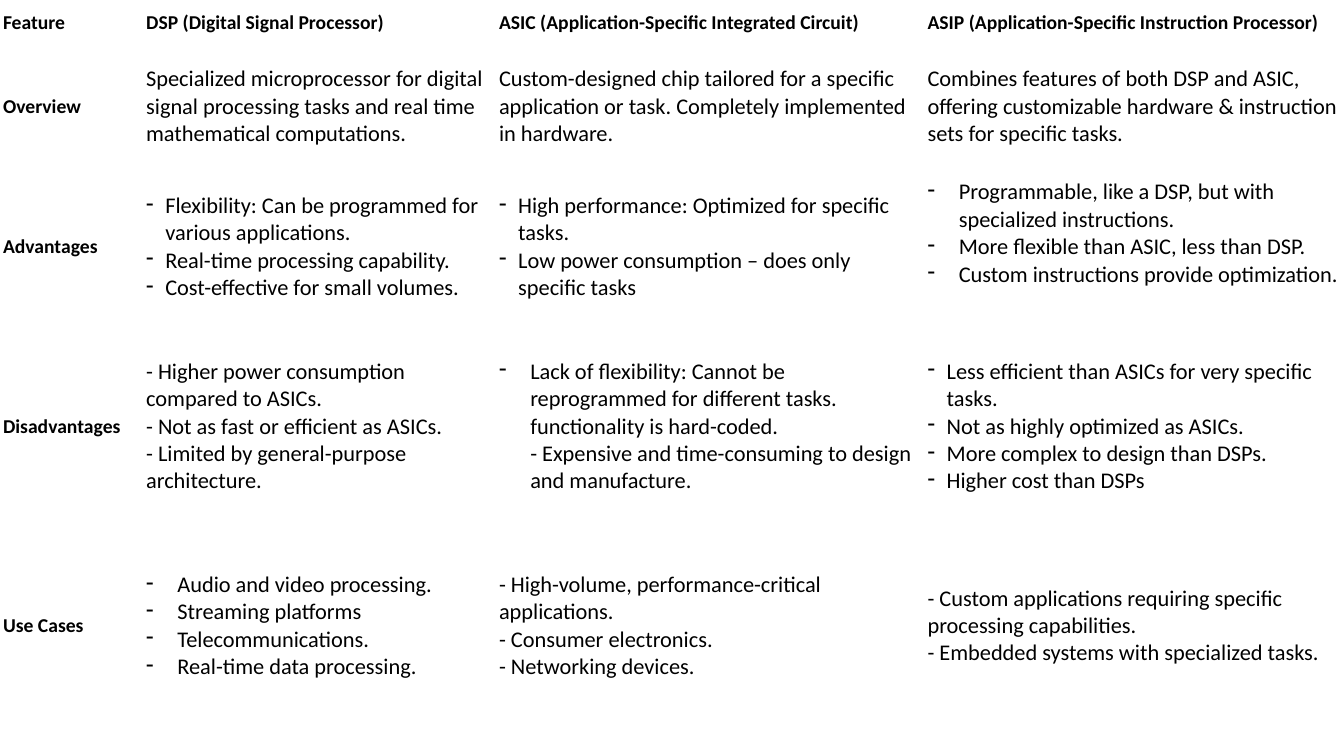
from lxml import etree
from pptx import Presentation, util as u
from pptx.dml.color import RGBColor
from pptx.enum import text
from pptx.oxml.ns import qn

PX = 9144  # EMU per px, 100 px to the inch
BLACK = RGBColor(0, 0, 0)
FONT = "Calibri"
COLUMNS = [142, 350, 425, 415]
ROWS = [45, 121, 158, 198, 198]
NARROW, WIDE = 19, 31  # hanging indents of dash lists
RAISED_CELL, RAISED_MARGIN = (2, 3), 29

# Each cell: hanging indent of its dashes (0 for none), then its paragraphs
CONTENT = [
    [(0, "Feature"),
     (0, "DSP (Digital Signal Processor)"),
     (0, "ASIC (Application-Specific Integrated Circuit)"),
     (0, "ASIP (Application-Specific Instruction Processor)")],
    [(0, "Overview"),
     (0, "Specialized microprocessor for digital signal processing tasks "
         "and real time mathematical computations."),
     (0, "Custom-designed chip tailored for a specific application or task. "
         "Completely implemented in hardware."),
     (0, "Combines features of both DSP and ASIC, offering customizable "
         "hardware & instruction sets for specific tasks.")],
    [(0, "Advantages"),
     (NARROW, "Flexibility: Can be programmed for various applications.",
      "Real-time processing capability.",
      "Cost-effective for small volumes."),
     (NARROW, "High performance: Optimized for specific tasks.",
      "Low power consumption – does only specific tasks"),
     (WIDE, "Programmable, like a DSP, but with specialized instructions.",
      "More flexible than ASIC, less than DSP.",
      "Custom instructions provide optimization.")],
    [(0, "Disadvantages"),
     (0, "- Higher power consumption compared to ASICs.\n"
         "- Not as fast or efficient as ASICs.\n"
         "- Limited by general-purpose architecture."),
     (WIDE, "Lack of flexibility: Cannot be reprogrammed for different tasks. "
            "functionality is hard-coded.\n"
            "- Expensive and time-consuming to design and manufacture."),
     (NARROW, "Less efficient than ASICs for very specific tasks.",
      "Not as highly optimized as ASICs.",
      "More complex to design than DSPs.",
      "Higher cost than DSPs")],
    [(0, "Use Cases"),
     (WIDE, "Audio and video processing.", "Streaming platforms",
      "Telecommunications.", "Real-time data processing."),
     (0, "- High-volume, performance-critical applications.\n"
         "- Consumer electronics.\n"
         "- Networking devices."),
     (0, "- Custom applications requiring specific processing capabilities.\n"
         "- Embedded systems with specialized tasks.")],
]


def add_dash(p, indent):
    """Give a paragraph a dash bullet with a hanging indent."""
    pPr = p._p.get_or_add_pPr()
    pPr.set("marL", str(indent * PX))
    pPr.set("indent", str(-indent * PX))
    bullet = etree.Element(qn("a:buChar"), char="-")
    pPr.insert(0, bullet)


def fill_cell(cell, indent, paragraphs, heading):
    cell.fill.background()
    cell.vertical_anchor = text.MSO_ANCHOR.MIDDLE
    cell.margin_left = cell.margin_right = 3 * PX
    cell.margin_top = cell.margin_bottom = 2 * PX
    tf = cell.text_frame
    for i, line in enumerate(paragraphs):
        p = tf.add_paragraph() if i else tf.paragraphs[0]
        p.text = line
        p.font.name = FONT
        p.font.size = u.Pt(14 if heading else 16)
        p.font.bold = heading
        p.font.color.rgb = BLACK
        if indent:
            add_dash(p, indent)


def add_comparison_table(slide, left, top, width, height):
    frame = slide.shapes.add_table(len(ROWS), len(COLUMNS), left * PX,
                                   top * PX, width * PX, height * PX)
    table = frame.table
    table.first_row = table.horz_banding = False
    for column, w in zip(table.columns, COLUMNS):
        column.width = w * PX
    for row, h in zip(table.rows, ROWS):
        row.height = h * PX
    # Headings run along the first row and the first column
    for r, cells in enumerate(CONTENT):
        for c, (indent, *paragraphs) in enumerate(cells):
            fill_cell(table.cell(r, c), indent, paragraphs, r == 0 or c == 0)
    table.cell(*RAISED_CELL).margin_bottom = RAISED_MARGIN * PX


def main():
    prs = Presentation()
    prs.slide_width, prs.slide_height = 1333 * PX, 750 * PX
    slide = prs.slides.add_slide(prs.slide_layouts[6])
    add_comparison_table(slide, 0, 0, sum(COLUMNS), sum(ROWS))
    prs.save("out.pptx")


if __name__ == "__main__":
    main()
